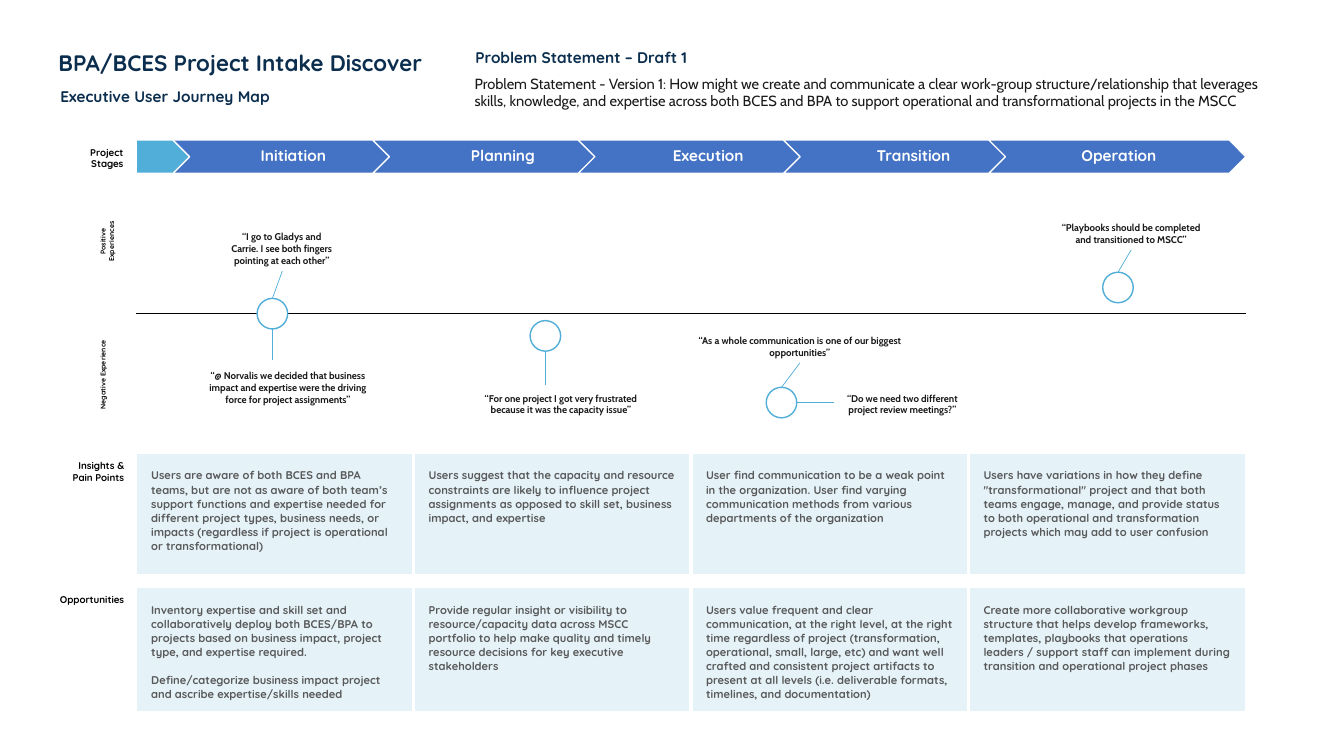
import pptx
import pptx.util
import pptx.dml.color
import pptx.enum.shapes
import pptx.enum.text
import pptx.oxml
import pptx.oxml.ns
from pptx.util import Cm, Pt

NAVY, BLUE, SKY, PALE = "0B2E4E", "4472C4", "50AED8", "E5F3F9"
WHITE, BLACK, INK, GREY = "FFFFFF", "000000", "1A1A1A", "595959"
ALIGN = pptx.enum.text.PP_ALIGN
ANCHOR = pptx.enum.text.MSO_ANCHOR
SHAPE = pptx.enum.shapes.MSO_SHAPE
HEADING, BODY = "Quicksand", "Cabin"


def color(value):
    return pptx.dml.color.RGBColor.from_string(value)


def write(frame, text, size=8, font=HEADING, ink=BLACK, bold=True, align=ALIGN.LEFT,
          anchor=ANCHOR.TOP, spacing=1.0, after=0):
    frame.word_wrap = True
    frame.vertical_anchor = anchor
    for index, line in enumerate(text.split("\n")):
        paragraph = frame.add_paragraph() if index else frame.paragraphs[0]
        paragraph.alignment = align
        paragraph.line_spacing = spacing
        paragraph.space_before = Pt(0)
        paragraph.space_after = Pt(after)
        run = paragraph.add_run()
        run.text = line
        run.font.size = Pt(size)
        run.font.name = font
        run.font.bold = bold
        run.font.color.rgb = color(ink)


def label(slide, text, left, top, width, height, rotation=0, **style):
    box = slide.shapes.add_textbox(Cm(left), Cm(top), Cm(width), Cm(height))
    box.rotation = rotation
    write(box.text_frame, text, **style)


def row_label(slide, text, right, top, width, height):
    label(slide, text, right - width, top, width, height, size=7, align=ALIGN.RIGHT)


def outline(slide, kind, left, top, width, height, fill, line):
    shape = slide.shapes.add_shape(kind, Cm(left), Cm(top), Cm(width), Cm(height))
    shape.shadow.inherit = False
    shape.fill.solid()
    shape.fill.fore_color.rgb = color(fill)
    shape.line.color.rgb = color(line)
    shape.line.width = Pt(1)
    return shape


def leader(slide, x, y, dx, dy):
    line = slide.shapes.add_connector(pptx.enum.shapes.MSO_CONNECTOR.STRAIGHT,
                                      Cm(x), Cm(y), Cm(x + dx), Cm(y + dy))
    line.line.color.rgb = color(SKY)
    line.line.width = Pt(0.5)
    line._element.spPr.append(pptx.oxml.parse_xml(
        "<a:effectLst %s/>" % pptx.oxml.ns.nsdecls("a")))


def borders(cell, **edges):
    properties = cell._tc.get_or_add_tcPr()
    for position, side in enumerate("LRTB"):
        hue, points = edges.get(side, (None, 0))
        paint = ('<a:solidFill><a:srgbClr val="%s"/></a:solidFill>' % hue
                 if hue else "<a:noFill/>")
        properties.insert(position, pptx.oxml.parse_xml(
            '<a:ln%s %s w="%d">%s</a:ln%s>' % (
                side, pptx.oxml.ns.nsdecls("a"), Pt(points), paint, side)))


def grid(slide, rows, columns, left, top, width, height):
    table = slide.shapes.add_table(rows, columns, Cm(left), Cm(top),
                                   Cm(width), Cm(height)).table
    table.first_row = False
    table.horz_banding = False
    return table


def header(slide, left, top):
    title = slide.shapes.title
    title.left, title.top = Cm(left), Cm(top)
    title.width, title.height = Cm(25.02), Cm(0.91)
    title.text_frame.auto_size = pptx.enum.text.MSO_AUTO_SIZE.NONE
    write(title.text_frame, "BPA/BCES Project Intake Discover", size=16, ink=NAVY)
    label(slide, "Executive User Journey Map", left + 0.05, top + 0.94, 10, 0.74,
          size=11, ink=NAVY)
    label(slide, "Problem Statement – Draft 1", left + 10.51, top - 0.03, 6.38, 0.74,
          size=11, ink=NAVY)
    label(slide, "Problem Statement - Version 1: How might we create and communicate a clear "
          "work-group structure/relationship that leverages skills, knowledge, and expertise "
          "across both BCES and BPA to support operational and transformational projects in "
          "the MSCC", left + 10.49, top + 0.63, 20.57, 1.14,
          size=10.5, font=BODY, ink=INK, bold=False)


def stages(slide, names, left, top, width, height):
    row_label(slide, "Project\nStages", left - 0.07, top + 0.03, 2, 0.86)
    first, arrow = left + 0.79, 6.48
    pitch = (left + width - first - arrow) / (len(names) - 1)
    for index, name in enumerate(names):
        kind = SHAPE.CHEVRON if index else SHAPE.PENTAGON
        stage = outline(slide, kind, first + index * pitch, top, arrow, height, BLUE, WHITE)
        frame = stage.text_frame
        frame.margin_left, frame.margin_right = Cm(0.13), Cm(0.05)
        frame.margin_top = frame.margin_bottom = Cm(0.08)
        write(frame, name, size=11, ink=WHITE, align=ALIGN.CENTER,
              anchor=ANCHOR.MIDDLE, spacing=0.9)
    outline(slide, SHAPE.PENTAGON, left, top, 1.35, height, SKY, WHITE)


def experience_map(slide, touchpoints, quotes, left, top, width, height):
    halves = grid(slide, 2, 4, left, top, width, height)
    for row, side in enumerate("BT"):
        for cell in halves.rows[row].cells:
            cell.fill.background()
            borders(cell, **{side: (BLACK, 0.25)})
    for text, offset in (("Positive\nExperiences", 0.86), ("Negative Experience", 4.22)):
        label(slide, text, left - 1.85, top + offset, 2.26, 0.69, rotation=270,
              size=5, align=ALIGN.CENTER)
    size = 0.77
    edges = {"top": (size / 2, 0), "bottom": (size / 2, size), "right": (size, size / 2)}
    for x, y, leaders in touchpoints:
        outline(slide, SHAPE.OVAL, left + x, top + y, size, size, WHITE, SKY)
        for edge, dx, dy in leaders:
            edge_x, edge_y = edges[edge]
            leader(slide, left + x + edge_x, top + y + edge_y, dx, dy)
    for text, x, y, wide, high in quotes:
        label(slide, text, left + x, top + y, wide, high,
              size=7, font=BODY, ink=INK, align=ALIGN.CENTER)


def findings(slide, name, name_width, texts, left, top, width, height):
    row_label(slide, name, left - 0.05, top + 0.03, name_width, 0.86)
    cards = grid(slide, 1, len(texts), left, top, width, height)
    last = len(texts) - 1
    for index, text in enumerate(texts):
        card = cards.cell(0, index)
        card.fill.solid()
        card.fill.fore_color.rgb = color(PALE)
        card.margin_left = card.margin_right = Cm(0.38)
        card.margin_top = card.margin_bottom = Cm(0.38)
        write(card.text_frame, text, ink=GREY, after=10 if "\n" in text else 0)
        borders(card, L=(WHITE, 3 if index else 1), R=(WHITE, 3 if index < last else 1),
                T=(WHITE, 1), B=(WHITE, 3))


STAGES = ["Initiation", "Planning", "Execution", "Transition", "Operation"]
TOUCHPOINTS = [
    (3.05, 2.64, [("top", 0.25, -0.69), ("bottom", 0, 0.79)]),
    (9.93, 3.2, [("bottom", 0, 0.86)]),
    (15.88, 4.88, [("top", 0.46, -0.61), ("right", 0.94, 0)]),
    (24.36, 1.98, [("top", 0.33, -0.56)]),
]
QUOTES = [
    ("“I go to Gladys and Carrie. I see both fingers pointing at each other”",
     2.08, 0.81, 3.18, 1.14),
    ("“@ Norvalis we decided that business impact and expertise were the driving force "
     "for project assignments”", 1.4, 4.32, 4.85, 1.14),
    ("“For one project I got very frustrated because it was the capacity issue”",
     8.28, 4.88, 4.85, 0.86),
    ("“As a whole communication is one of our biggest opportunities”",
     13.92, 3.43, 5.61, 0.86),
    ("“Do we need two different project review meetings?”", 17.48, 4.88, 3.66, 0.86),
    ("“Playbooks should be completed and transitioned to MSCC”", 22.99, 0.58, 4.17, 0.86),
]
INSIGHTS = [
    "Users are aware of both BCES and BPA teams, but are not as aware of both team’s support "
    "functions and expertise needed for different project types, business needs, or impacts "
    "(regardless if project is operational or transformational)",
    "Users suggest that the capacity and resource constraints are likely to influence project "
    "assignments as opposed to skill set, business impact, and expertise",
    "User find communication to be a weak point in the organization. User find varying "
    "communication methods from various departments of the organization",
    "Users have variations in how they define \"transformational\" project and that both teams "
    "engage, manage, and provide status to both operational and transformation projects which "
    "may add to user confusion",
]
OPPORTUNITIES = [
    "Inventory expertise and skill set and collaboratively deploy both BCES/BPA to projects "
    "based on business impact, project type, and expertise required.\n"
    "Define/categorize business impact project and ascribe expertise/skills needed",
    "Provide regular insight or visibility to resource/capacity data across MSCC portfolio to "
    "help make quality and timely resource decisions for key executive stakeholders",
    "Users value frequent and clear communication, at the right level, at the right time "
    "regardless of project (transformation, operational, small, large, etc) and want well "
    "crafted and consistent project artifacts to present at all levels (i.e. deliverable "
    "formats, timelines, and documentation)",
    "Create more collaborative workgroup structure that helps develop frameworks, templates, "
    "playbooks that operations leaders / support staff can implement during transition and "
    "operational project phases",
]

deck = pptx.Presentation()
deck.slide_width, deck.slide_height = Cm(33.87), Cm(19.05)
journey = deck.slides.add_slide(deck.slide_layouts[5])
LEFT, WIDTH = 3.43, 27.97
header(journey, 1.22, 1.12)
stages(journey, STAGES, LEFT, 3.53, WIDTH, 0.84)
experience_map(journey, TOUCHPOINTS, QUOTES, LEFT, 4.88, WIDTH, 6.02)
findings(journey, "Insights & Pain Points", 1.85, INSIGHTS, LEFT, 11.43, WIDTH, 3.07)
findings(journey, "Opportunities", 2.26, OPPORTUNITIES, LEFT, 14.81, WIDTH, 3.07)
deck.save("out.pptx")
